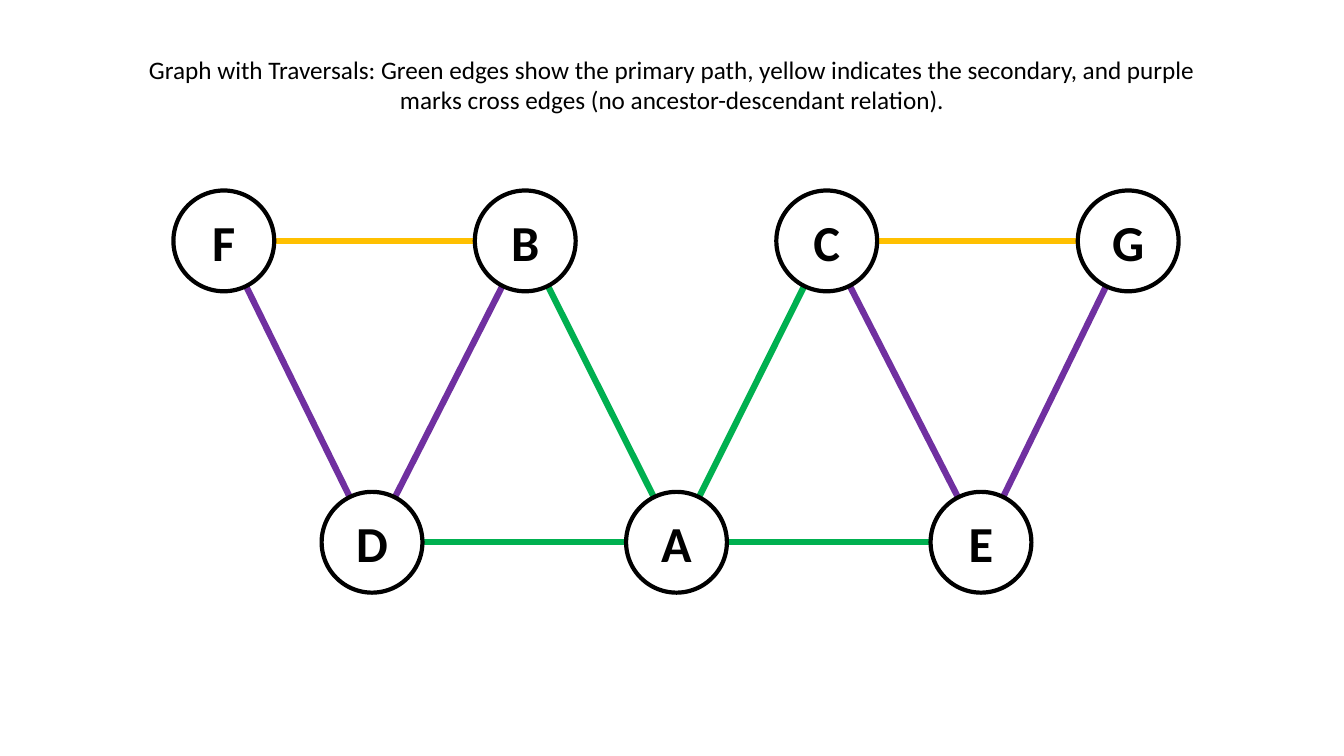
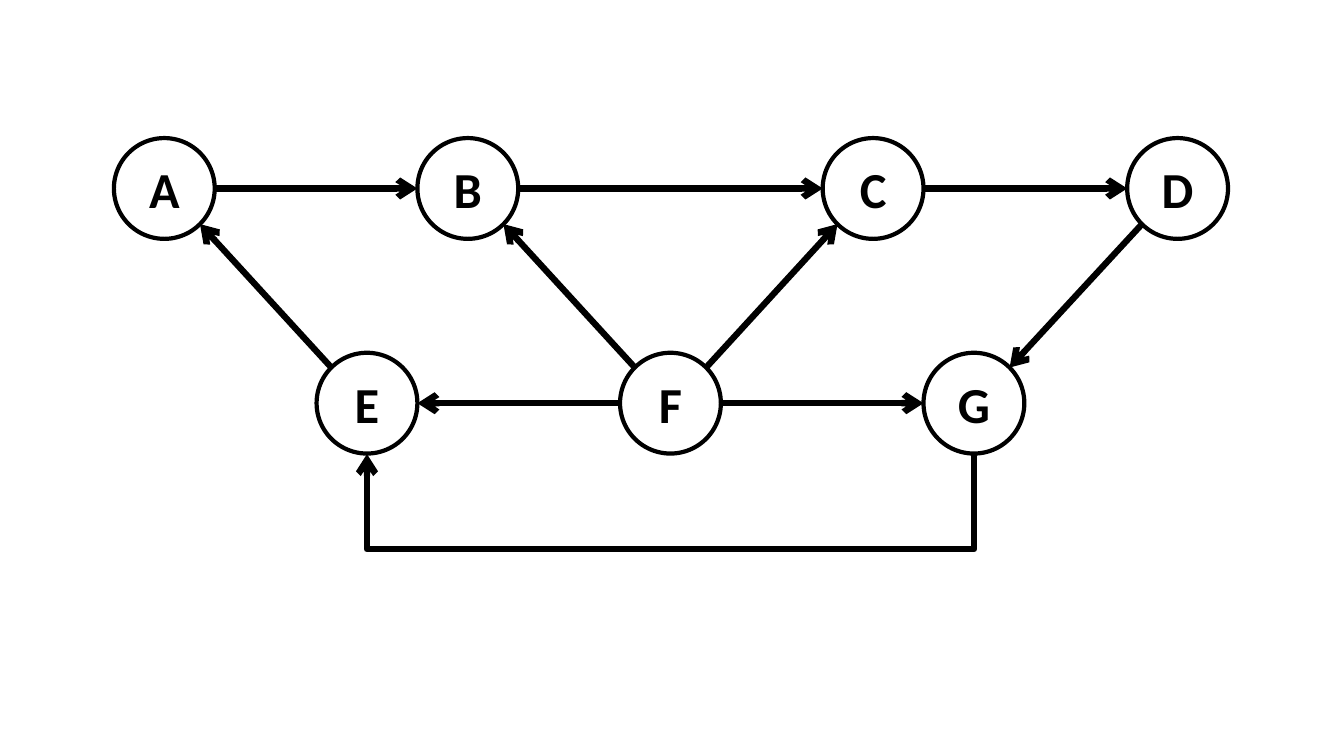
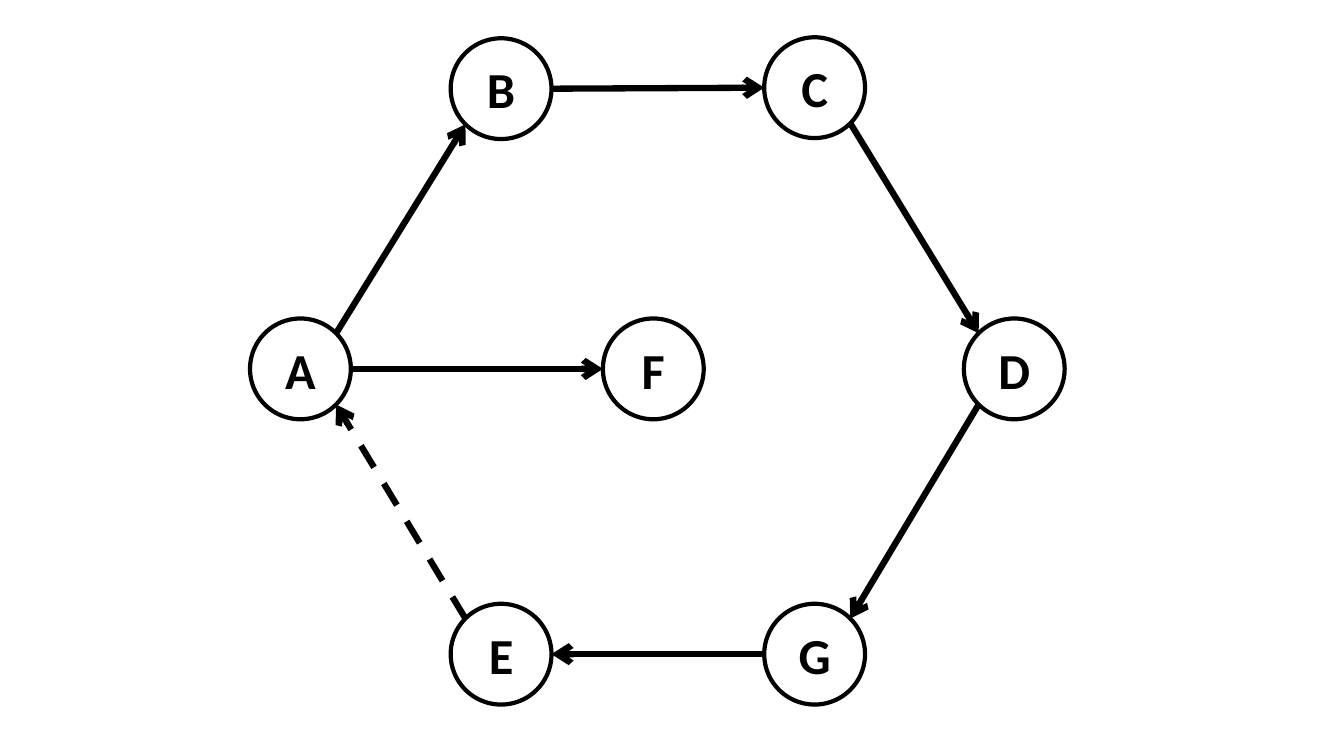
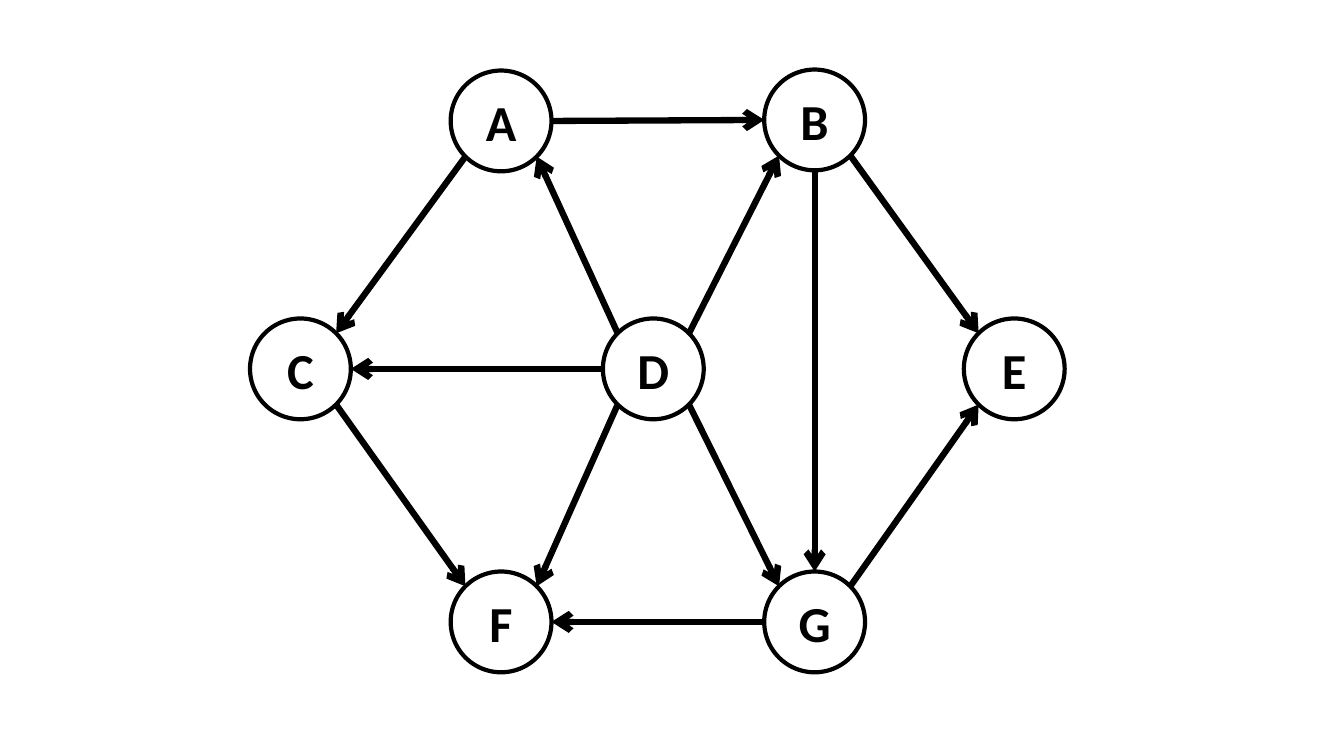
from math import copysign, sqrt

from lxml import etree
from pptx import Presentation
from pptx.dml.color import RGBColor
from pptx.enum.dml import MSO_LINE
from pptx.enum.shapes import MSO_CONNECTOR as CONN, MSO_SHAPE as SHAPE
from pptx.enum.text import MSO_ANCHOR as ANCHOR, PP_ALIGN as ALIGN
from pptx.oxml.ns import qn
from pptx.util import Inches, Pt

FONT = "Calibri"
BLACK, WHITE = "000000", "FFFFFF"
GREEN, YELLOW, PURPLE = "00B050", "FFC000", "7030A0"
NODE, RADIUS = 1, 0.5


def rgb(color):
    return RGBColor.from_string(color)


def row(names, left, top, step):
    return {name: (left + i * step, top) for i, name in enumerate(names)}


def hexagon(names, top, bottom):
    middle = 3.16
    spots = [(4.47, top), (7.58, top - 0.01), (2.48, middle), (5.98, middle),
             (9.56, middle), (4.47, bottom), (7.58, bottom)]
    return dict(zip(names, spots))


def center(spot):
    return spot[0] + RADIUS, spot[1] + RADIUS


def rim(spot, other):
    x, y = center(spot)
    dx, dy = other[0] - spot[0], other[1] - spot[1]
    if abs(dy) < 0.1:
        return x + copysign(RADIUS, dx), y
    if abs(dx) < 0.1:
        return x, y + copysign(RADIUS, dy)
    diagonal = RADIUS / sqrt(2)
    return x + copysign(diagonal, dx), y + copysign(diagonal, dy)


class Deck:
    def __init__(self):
        self.prs = Presentation()
        self.prs.slide_width = Inches(13.33)
        self.prs.slide_height = Inches(7.5)
        self.s = None

    def slide(self):
        self.s = self.prs.slides.add_slide(self.prs.slide_layouts[6])

    def label(self, tf, text, size, bold=False):
        tf.word_wrap = True
        tf.text = text
        p = tf.paragraphs[0]
        p.alignment = ALIGN.CENTER
        font = p.runs[0].font
        font.name, font.size, font.bold = FONT, Pt(size), bold
        font.color.rgb = rgb(BLACK)

    def caption(self, text, left, top, width, height):
        sp = self.s.shapes.add_textbox(*map(Inches, (left, top, width, height)))
        self.label(sp.text_frame, text, 18)

    def nodes(self, spots):
        for name, (left, top) in spots.items():
            sp = self.s.shapes.add_shape(
                SHAPE.OVAL, Inches(left), Inches(top), Inches(NODE), Inches(NODE))
            sp.shadow.inherit = False
            sp.fill.solid()
            sp.fill.fore_color.rgb = rgb(WHITE)
            sp.line.color.rgb = rgb(BLACK)
            sp.line.width = Pt(3)
            sp.text_frame.vertical_anchor = ANCHOR.MIDDLE
            self.label(sp.text_frame, name, 36, bold=True)

    def line(self, start, end, color=BLACK, arrow=False, dash=False, kind=CONN.STRAIGHT):
        cxn = self.s.shapes.add_connector(kind, *map(Inches, (*start, *end)))
        cxn.line.color.rgb = rgb(color)
        cxn.line.width = Pt(4.5)
        if dash:
            cxn.line.dash_style = MSO_LINE.DASH
        sp_pr = cxn._element.spPr
        if arrow:
            etree.SubElement(sp_pr.find(qn("a:ln")), qn("a:tailEnd"), type="arrow")
        etree.SubElement(sp_pr, qn("a:effectLst"))
        return cxn

    def edges(self, spots, pairs, color):
        for a, b in pairs.split():
            self.line(center(spots[a]), center(spots[b]), color)

    def arrows(self, spots, pairs, dash=False):
        for a, b in pairs.split():
            start, end = rim(spots[a], spots[b]), rim(spots[b], spots[a])
            self.line(start, end, arrow=True, dash=dash)

    def loop_below(self, start, end, depth):
        thin = 0.01
        x, y = (center(start)[0] + center(end)[0]) / 2, start[1] + NODE
        half = (start[0] - end[0]) / 2
        cxn = self.line((x - thin / 2, y - half), (x + thin / 2, y + half),
                        arrow=True, kind=CONN.ELBOW)
        sp_pr = cxn._element.spPr
        sp_pr.find(qn("a:xfrm")).set("rot", "5400000")
        prst_geom = sp_pr.find(qn("a:prstGeom"))
        guides = prst_geom.find(qn("a:avLst"))
        if guides is None:
            guides = etree.SubElement(prst_geom, qn("a:avLst"))
        etree.SubElement(guides, qn("a:gd"), name="adj1",
                         fmla=f"val {round(depth / thin * 100000)}")


def traversal_slide(deck):
    deck.slide()
    spots = row("FBCG", 1.72, 1.89, 2.99) | row("DAE", 3.19, 4.88, 3.02)
    deck.edges(spots, "FB CG", YELLOW)
    deck.edges(spots, "DA AE AB AC", GREEN)
    deck.edges(spots, "DF DB EC EG", PURPLE)
    deck.nodes(spots)
    deck.caption("Graph with Traversals: Green edges show the primary path, yellow indicates "
                 "the secondary, and purple marks cross edges (no ancestor-descendant relation).",
                 1.25, 0.49, 10.83, 0.71)


def two_row_slide(deck):
    deck.slide()
    spots = (row("AB", 1.13, 1.37, 3.01) | row("CD", 8.16, 1.37, 3.02)
             | row("EFG", 3.14, 3.5, 3.01))
    deck.nodes(spots)
    deck.arrows(spots, "FB FC FG FE EA DG CD BC AB")
    deck.loop_below(spots["G"], spots["E"], 0.97)


def cycle_slide(deck):
    deck.slide()
    spots = hexagon("BCAFDEG", 0.38, 5.99)
    deck.nodes(spots)
    deck.arrows(spots, "AF AB CD DG BC GE")
    deck.arrows(spots, "EA", dash=True)


def hub_slide(deck):
    deck.slide()
    spots = hexagon("ABCDEFG", 0.7, 5.67)
    deck.nodes(spots)
    deck.arrows(spots, "DC AC BE GE AB GF CF BG DF DG DA DB")


def main():
    deck = Deck()
    traversal_slide(deck)
    two_row_slide(deck)
    cycle_slide(deck)
    hub_slide(deck)
    deck.prs.save("out.pptx")


if __name__ == "__main__":
    main()
